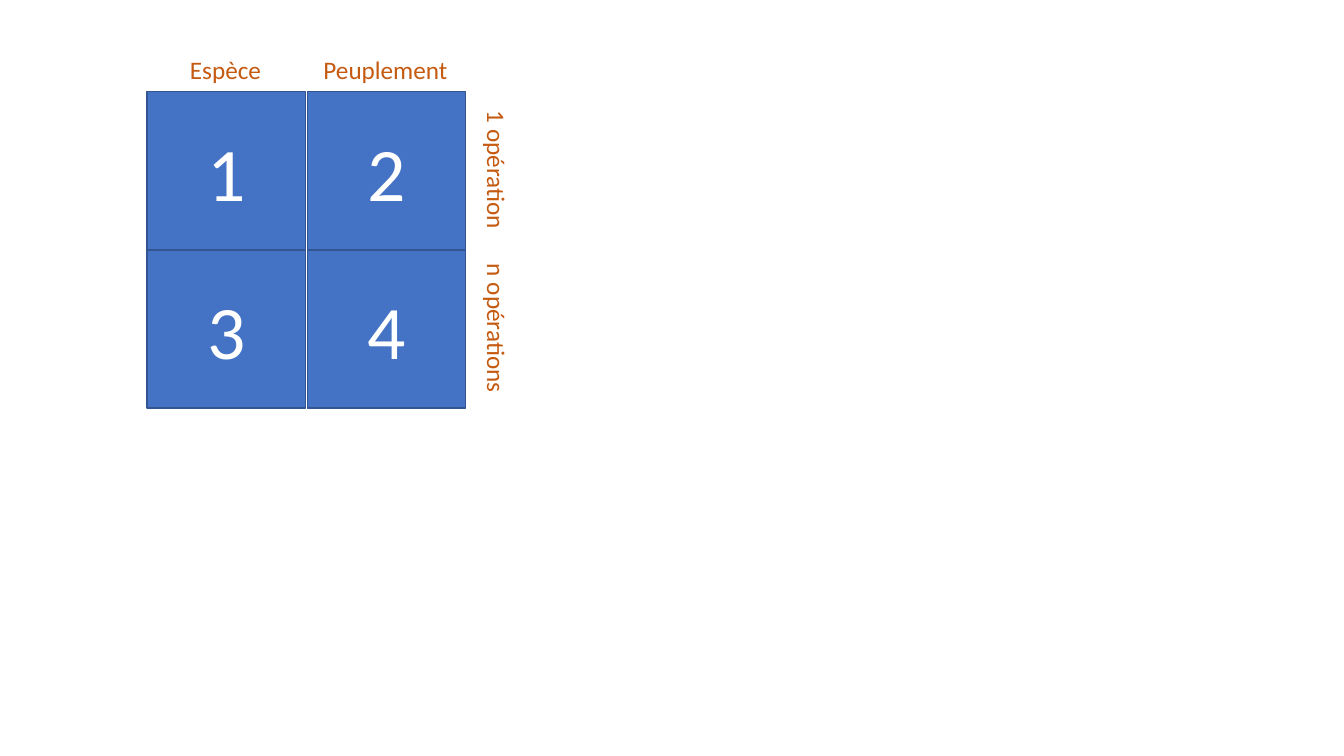
from pptx import Presentation
from pptx.dml.color import RGBColor
from pptx.enum.shapes import MSO_SHAPE
from pptx.enum.text import MSO_ANCHOR, MSO_AUTO_SIZE, PP_ALIGN
from pptx.util import Inches, Pt

RECTANGLE = MSO_SHAPE.RECTANGLE
MIDDLE = MSO_ANCHOR.MIDDLE
FIT_SHAPE = MSO_AUTO_SIZE.SHAPE_TO_FIT_TEXT
CENTER = PP_ALIGN.CENTER

BLUE = RGBColor(0x44, 0x72, 0xC4)
DARK_BLUE = RGBColor(0x32, 0x54, 0x91)
ORANGE = RGBColor(0xC5, 0x5A, 0x11)
WHITE = RGBColor(0xFF, 0xFF, 0xFF)

GRID_LEFT, GRID_TOP = 1.46, 0.91
CELL = 1.57
COLUMN_STEP, ROW_STEP = 1.59, 1.57
LABEL_HEIGHT = 0.4
COLUMN_LABEL_Y = 0.69
ROW_LABEL_X = 4.93

COLUMNS = [("Espèce", 0.92), ("Peuplement", 1.45)]
ROWS = [("1 opération", 1.39), ("n opérations", 1.49)]


class MatrixSlide:
    font = "Calibri"

    def __init__(self, prs):
        s = prs.slides.add_slide(prs.slide_layouts[6])
        self.shapes = s.shapes.add_group_shape().shapes

    def set_text(self, tf, text, size, color):
        tf.text = text
        p = tf.paragraphs[0]
        r = p.runs[0]
        r.font.name = self.font
        r.font.size = Pt(size)
        r.font.color.rgb = color
        return p

    def cell(self, left, top, text):
        sp = self.shapes.add_shape(
            RECTANGLE, Inches(left), Inches(top), Inches(CELL), Inches(CELL))
        sp.shadow.inherit = False
        sp.fill.solid()
        sp.fill.fore_color.rgb = BLUE
        sp.line.color.rgb = DARK_BLUE
        sp.line.width = Pt(1)
        tf = sp.text_frame
        tf.vertical_anchor = MIDDLE
        self.set_text(tf, text, 54, WHITE).alignment = CENTER

    def label(self, center_x, center_y, width, text, rotation=0):
        sp = self.shapes.add_textbox(
            Inches(center_x - width / 2), Inches(center_y - LABEL_HEIGHT / 2),
            Inches(width), Inches(LABEL_HEIGHT))
        sp.rotation = rotation
        tf = sp.text_frame
        tf.word_wrap = False
        tf.auto_size = FIT_SHAPE
        self.set_text(tf, text, 18, ORANGE)


prs = Presentation()
prs.slide_width = Inches(13.33)
prs.slide_height = Inches(7.5)
matrix = MatrixSlide(prs)

for row in range(len(ROWS)):
    for column in range(len(COLUMNS)):
        number = row * len(COLUMNS) + column + 1
        matrix.cell(GRID_LEFT + column * COLUMN_STEP,
                    GRID_TOP + row * ROW_STEP, str(number))

for column, (text, width) in enumerate(COLUMNS):
    center_x = GRID_LEFT + column * COLUMN_STEP + CELL / 2
    matrix.label(center_x, COLUMN_LABEL_Y, width, text)

for row, (text, width) in enumerate(ROWS):
    center_y = GRID_TOP + row * ROW_STEP + CELL / 2
    matrix.label(ROW_LABEL_X, center_y, width, text, rotation=90)

prs.save("out.pptx")
